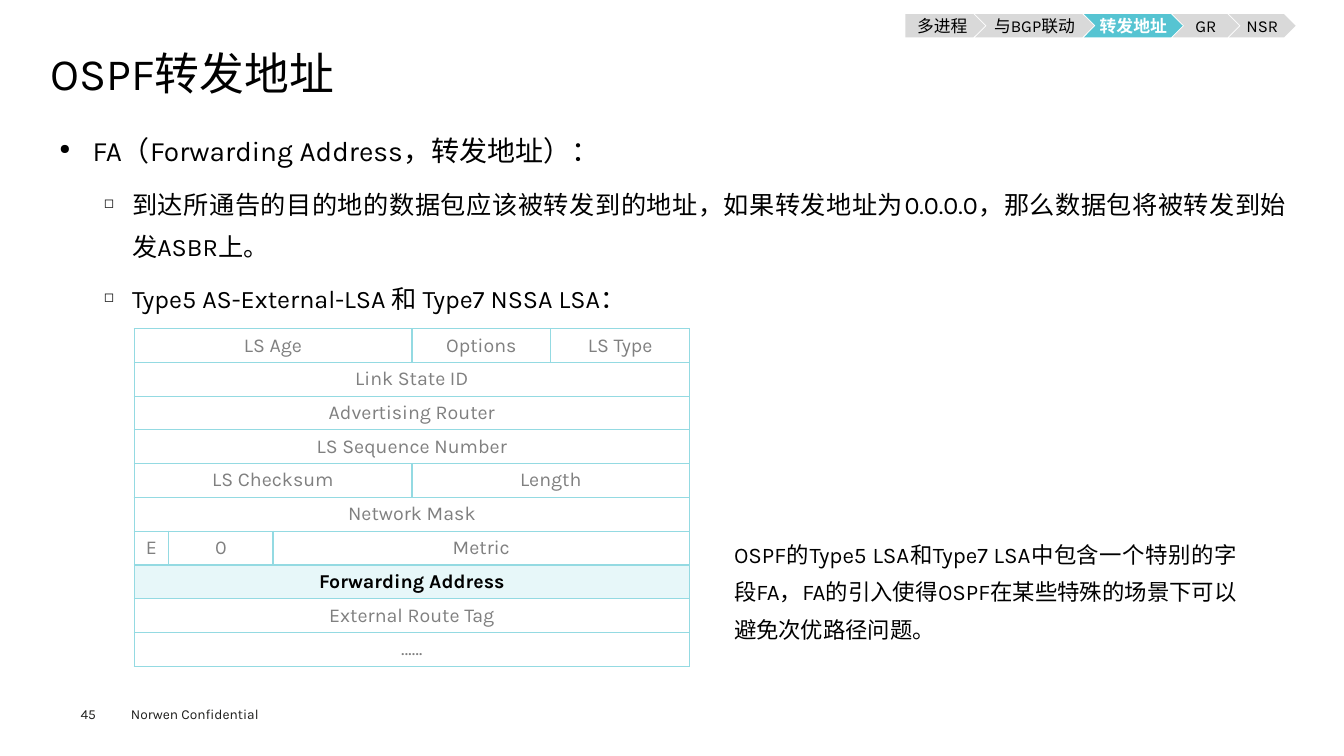
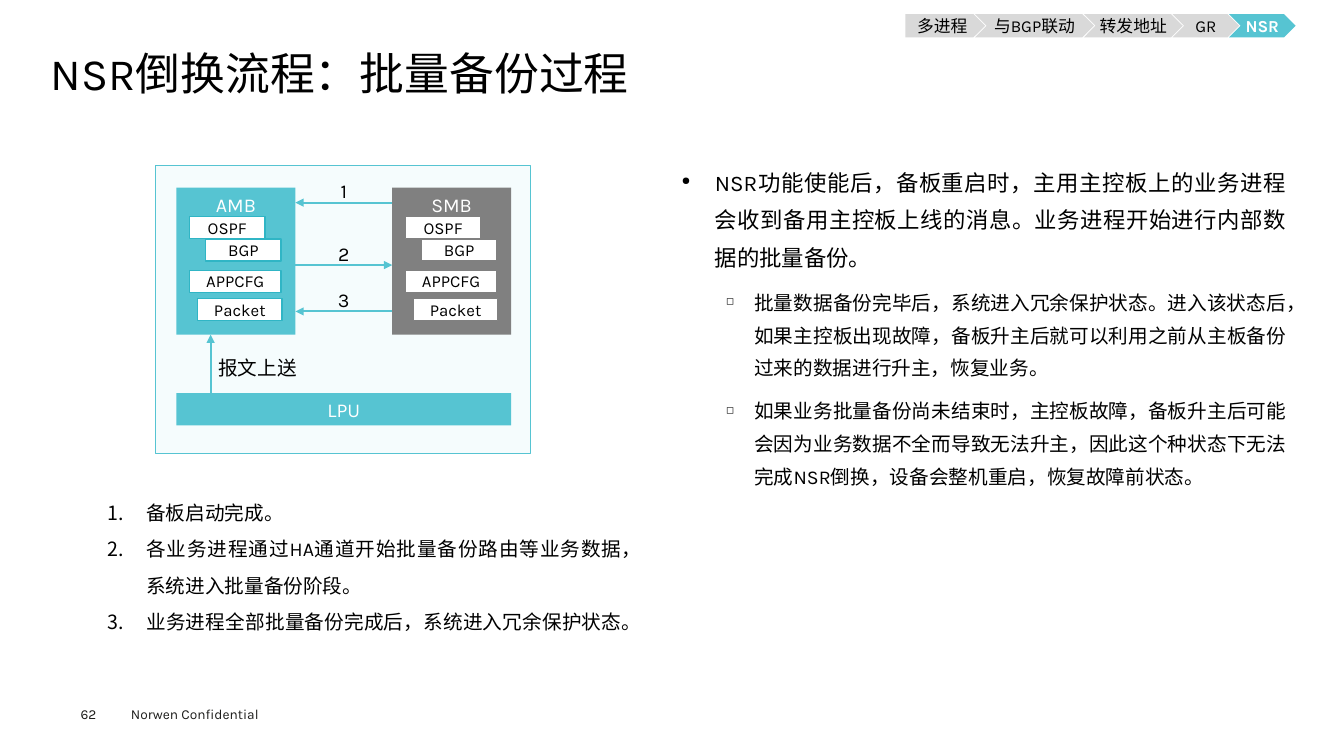
import dataclasses

import lxml.etree
import pptx
import pptx.dml.color
import pptx.enum.lang
import pptx.enum.shapes
import pptx.enum.text
import pptx.oxml.ns
import pptx.util

RGBColor = pptx.dml.color.RGBColor
Shapes = pptx.enum.shapes.MSO_SHAPE
Align = pptx.enum.text.PP_ALIGN
Anchor = pptx.enum.text.MSO_ANCHOR
Inches = pptx.util.Inches
Pt = pptx.util.Pt

BLACK = RGBColor(0x00, 0x00, 0x00)
WHITE = RGBColor(0xFF, 0xFF, 0xFF)
INK = RGBColor(0x1D, 0x1D, 0x1B)
GRAY = RGBColor(0x80, 0x80, 0x80)
LIGHT_GRAY = RGBColor(0xD9, 0xD9, 0xD9)
TEAL = RGBColor(0x56, 0xC4, 0xD2)
DARK_TEAL = RGBColor(0x30, 0xB5, 0xC5)
GRID_TEAL = RGBColor(0x94, 0xDA, 0xE2)
PALE_TEAL = RGBColor(0xE7, 0xF7, 0xF9)
PANEL = RGBColor(0xF5, 0xFC, 0xFD)

FONT = "Karla"
NO_INSETS = (0, 0)
BODY_INSETS = (0.09, 0.04)
SHAPE_INSETS = (0.1, 0.05)

# Topic, width as a share of the trail
TOPICS = [("多进程", 20.41), ("与BGP联动", 30.49), ("转发地址", 25.32),
          ("GR", 17.05), ("NSR", 17.05)]
TOPIC_OVERLAP = 2.58

# Process, then left, top and width as shares of its board
PROCESSES = [("OSPF", 11, 19.9, 63.5), ("BGP", 24.5, 34.9, 63.5),
             ("APPCFG", 11, 56.2, 77), ("Packet", 17.8, 75.3, 71)]
PROCESS_HEIGHT = 15


@dataclasses.dataclass(frozen=True)
class Box:
    """A rectangle in inches; boxes inside it are given in percent of it."""
    left: float
    top: float
    width: float
    height: float

    def inner(self, left, top, width, height):
        return Box(self.left + self.width * left / 100,
                   self.top + self.height * top / 100,
                   self.width * width / 100, self.height * height / 100)

    def point(self, across, down):
        corner = self.inner(across, down, 0, 0)
        return Inches(corner.left), Inches(corner.top)

    def lengths(self):
        return [Inches(n) for n in (self.left, self.top, self.width, self.height)]


@dataclasses.dataclass(frozen=True)
class Style:
    size: float
    color: RGBColor = BLACK
    bold: bool = False
    align: Align = Align.LEFT
    spacing: object = None
    before: float = 0
    bullet: str = ""
    margin: float = 0
    hanging: float = 0


PAGE = Box(0, 0, 13.33, 7.5)
TITLE = Style(32, spacing=0.9)
FOOTER = Style(9.8, INK)
LABEL = Style(14, align=Align.CENTER)
LABEL_WHITE = dataclasses.replace(LABEL, color=WHITE)
SMALL = Style(12, align=Align.CENTER)
SMALL_ACTIVE = dataclasses.replace(SMALL, color=WHITE, bold=True)
FIELD = dataclasses.replace(LABEL, color=GRAY)
FIELD_KEY = dataclasses.replace(LABEL, bold=True)
NOTE = Style(16, align=Align.JUSTIFY, spacing=1.4)
STEP = Style(14, align=Align.JUSTIFY, spacing=Pt(26), bullet="1.",
             margin=0.38, hanging=0.38)


def bullet_style(size, level):
    mark, margin, hanging, before = [("●", 0.33, 0.33, 7.9),
                                     ("◻", 0.72, 0.28, 7.2)][level]
    return Style(size, align=Align.JUSTIFY, spacing=1.4, before=before,
                 bullet=mark, margin=margin, hanging=hanging)


# Shared building blocks
def add_element(parent, tag, **attributes):
    return lxml.etree.SubElement(parent, pptx.oxml.ns.qn(tag), attributes)


def set_bullet(paragraph, style):
    properties = paragraph._p.get_or_add_pPr()
    properties.set("marL", str(Inches(style.margin)))
    properties.set("indent", str(-Inches(style.hanging)))
    if style.bullet == "1.":
        add_element(properties, "a:buAutoNum", type="arabicPeriod")
    else:
        add_element(properties, "a:buSzPct", val="50000")
        add_element(properties, "a:buChar", char=style.bullet)


def write(frame, lines):
    """Fill a text frame with (text, style) paragraphs."""
    for index, (text, style) in enumerate(lines):
        paragraph = frame.add_paragraph() if index else frame.paragraphs[0]
        if style.bullet:
            set_bullet(paragraph, style)
        paragraph.alignment = style.align
        if style.spacing:
            paragraph.line_spacing = style.spacing
        paragraph.space_before = Pt(style.before if index else 0)
        run = paragraph.add_run()
        run.text = text
        run.font.name = FONT
        run.font.size = Pt(style.size)
        run.font.bold = style.bold
        run.font.color.rgb = style.color
        run.font.language_id = pptx.enum.lang.MSO_LANGUAGE_ID.SIMPLIFIED_CHINESE


def set_frame(frame, insets, anchor, wrap):
    frame.margin_left = frame.margin_right = Inches(insets[0])
    frame.margin_top = frame.margin_bottom = Inches(insets[1])
    frame.vertical_anchor = anchor
    frame.word_wrap = wrap


def add_text(slide, box, lines, insets=SHAPE_INSETS, anchor=Anchor.TOP):
    frame = slide.shapes.add_textbox(*box.lengths()).text_frame
    set_frame(frame, insets, anchor, True)
    write(frame, lines)


def add_block(slide, box, fill, line=None, label=None, kind=Shapes.RECTANGLE,
              insets=NO_INSETS, anchor=Anchor.MIDDLE):
    shape = slide.shapes.add_shape(kind, *box.lengths())
    shape.shadow.inherit = False
    shape.fill.solid()
    shape.fill.fore_color.rgb = fill
    if line is None:
        shape.line.fill.background()
    else:
        shape.line.color.rgb = line
        shape.line.width = Pt(1)
    if label:
        set_frame(shape.text_frame, insets, anchor, False)
        write(shape.text_frame, [label])


def add_arrow(slide, start, end):
    connector = slide.shapes.add_connector(
        pptx.enum.shapes.MSO_CONNECTOR.STRAIGHT, *start, *end)
    connector.line.color.rgb = TEAL
    connector.line.width = Pt(1.5)
    add_element(connector.line._get_or_add_ln(), "a:tailEnd", type="triangle")
    add_element(connector._element.spPr, "a:effectLst")


# Regions
def add_trail(slide, box, active):
    left = 0
    for index, (topic, width) in enumerate(TOPICS):
        current = topic == active
        add_block(slide, box.inner(left, 0, width, 100),
                  TEAL if current else LIGHT_GRAY,
                  label=(topic, SMALL_ACTIVE if current else SMALL),
                  kind=Shapes.CHEVRON if index else Shapes.PENTAGON)
        left += width - TOPIC_OVERLAP


def add_base(presentation, title, topic, number):
    slide = presentation.slides.add_slide(presentation.slide_layouts[6])
    add_text(slide, PAGE.inner(9, 92.67, 12, 3.6), [("Norwen Confidential", FOOTER)])
    add_text(slide, PAGE.inner(6, 93.33, 4.13, 2.13), [(str(number), FOOTER)], NO_INSETS)
    add_text(slide, PAGE.inner(3.75, 6.53, 92.65, 7.07), [(title, TITLE)],
             NO_INSETS, Anchor.MIDDLE)
    add_trail(slide, PAGE.inner(67.37, 1.87, 29.03, 3.07), topic)
    return slide


def set_borders(cell):
    properties = cell._tc.get_or_add_tcPr()
    for index, side in enumerate(("a:lnL", "a:lnR", "a:lnT", "a:lnB")):
        line = lxml.etree.Element(pptx.oxml.ns.qn(side), w=str(Pt(1)))
        fill = add_element(line, "a:solidFill")
        add_element(fill, "a:srgbClr", val=str(GRID_TEAL))
        properties.insert(index, line)


def add_packet_table(slide, box, columns, rows, key=None):
    """Rows hold fields; the last field of a row spans what is left."""
    table = slide.shapes.add_table(len(rows), len(columns), *box.lengths()).table
    table.first_row = table.horz_banding = False
    for column, share in zip(table.columns, columns):
        column.width = Inches(box.width * share / 100)
    for row_index, fields in enumerate(rows):
        table.rows[row_index].height = Inches(box.height / len(rows))
        for column_index in range(len(columns)):
            cell = table.cell(row_index, column_index)
            cell.fill.solid()
            cell.fill.fore_color.rgb = PALE_TEAL if key in fields else WHITE
            set_borders(cell)
        for column_index, field in enumerate(fields):
            cell = table.cell(row_index, column_index)
            cell.vertical_anchor = Anchor.MIDDLE
            cell.margin_top = cell.margin_bottom = Inches(0.03)
            write(cell.text_frame, [(field, FIELD_KEY if field == key else FIELD)])
        if len(fields) < len(columns):
            last = table.cell(row_index, len(fields) - 1)
            last.merge(table.cell(row_index, len(columns) - 1))


def add_board(slide, box, name, fill, outline):
    add_block(slide, box, fill, label=(name, LABEL_WHITE),
              insets=SHAPE_INSETS, anchor=Anchor.TOP)
    for process, left, top, width in PROCESSES:
        add_block(slide, box.inner(left, top, width, PROCESS_HEIGHT), WHITE,
                  outline, (process, SMALL))


def add_backup_diagram(slide, box):
    add_block(slide, box, PANEL, TEAL)
    # Boards and line card
    left, right, top, width, height = 5.65, 63.17, 7.7, 31.72, 51.05
    card_top = 79.02
    add_board(slide, box.inner(left, top, width, height), "AMB", TEAL, DARK_TEAL)
    add_board(slide, box.inner(right, top, width, height), "SMB", GRAY, GRAY)
    add_block(slide, box.inner(left, card_top, right + width - left, 11.19), TEAL,
              label=("LPU", LABEL_WHITE))
    # Numbered messages between the boards
    gap = left + width
    for number, down, to_standby in ((1, 12.94, False), (2, 34.6, True), (3, 50.7, False)):
        ends = [box.point(gap, down), box.point(right, down)]
        add_arrow(slide, *(ends if to_standby else reversed(ends)))
        add_text(slide, box.inner(gap, down - 9.9, right - gap, 11.89),
                 [(str(number), LABEL)])
    # Packets sent up
    add_arrow(slide, box.point(14.78, card_top), box.point(14.78, top + height))
    add_text(slide, box.inner(11.29, 64.34, 32, 11.89), [("报文上送", LABEL)])


# Slides
def add_forwarding_slide(presentation):
    slide = add_base(presentation, "OSPF转发地址", "转发地址", 45)
    add_text(slide, PAGE.inner(3.75, 15.33, 92.65, 27.6), [
        ("FA（Forwarding Address，转发地址）：", bullet_style(20, 0)),
        ("到达所通告的目的地的数据包应该被转发到的地址，如果转发地址为0.0.0.0，"
         "那么数据包将被转发到始发ASBR上。", bullet_style(18, 1)),
        ("Type5 AS-External-LSA 和 Type7 NSSA LSA：", bullet_style(18, 1)),
    ], BODY_INSETS)
    packet = PAGE.inner(9.98, 43.47, 41.34, 44.67)
    add_packet_table(slide, packet.inner(0, 0, 100, 50), (50, 25, 25), [
        ["LS Age", "Options", "LS Type"], ["Link State ID"], ["Advertising Router"],
        ["LS Sequence Number"], ["LS Checksum", "Length"]])
    add_packet_table(slide, packet.inner(0, 50, 100, 50), (6.25, 18.75, 75), [
        ["Network Mask"], ["E", "0", "Metric"], ["Forwarding Address"],
        ["External Route Tag"], ["……"]], key="Forwarding Address")
    add_text(slide, PAGE.inner(53.94, 69.6, 38.78, 14.93), [
        ("OSPF的Type5 LSA和Type7 LSA中包含一个特别的字段FA，"
         "FA的引入使得OSPF在某些特殊的场景下可以避免次优路径问题。", NOTE)], BODY_INSETS)


def add_backup_slide(presentation):
    slide = add_base(presentation, "NSR倒换流程：批量备份过程", "NSR", 62)
    add_text(slide, PAGE.inner(50.04, 20.4, 46.36, 66), [
        ("NSR功能使能后，备板重启时，主用主控板上的业务进程会收到备用主控板上线的消息。"
         "业务进程开始进行内部数据的批量备份。", bullet_style(16, 0)),
        ("批量数据备份完毕后，系统进入冗余保护状态。进入该状态后，如果主控板出现故障，"
         "备板升主后就可以利用之前从主板备份过来的数据进行升主，恢复业务。", bullet_style(14, 1)),
        ("如果业务批量备份尚未结束时，主控板故障，备板升主后可能会因为业务数据不全而导致无法升主，"
         "因此这个种状态下无法完成NSR倒换，设备会整机重启，恢复故障前状态。", bullet_style(14, 1)),
    ], BODY_INSETS)
    add_backup_diagram(slide, PAGE.inner(11.55, 21.87, 27.91, 38.13))
    add_text(slide, PAGE.inner(7.35, 64, 39.61, 21.07), [
        ("备板启动完成。", STEP),
        ("各业务进程通过HA通道开始批量备份路由等业务数据，系统进入批量备份阶段。", STEP),
        ("业务进程全部批量备份完成后，系统进入冗余保护状态。", STEP),
    ], BODY_INSETS)


def main():
    presentation = pptx.Presentation()
    presentation.slide_width = Inches(PAGE.width)
    presentation.slide_height = Inches(PAGE.height)
    add_forwarding_slide(presentation)
    add_backup_slide(presentation)
    presentation.save("out.pptx")


if __name__ == "__main__":
    main()
